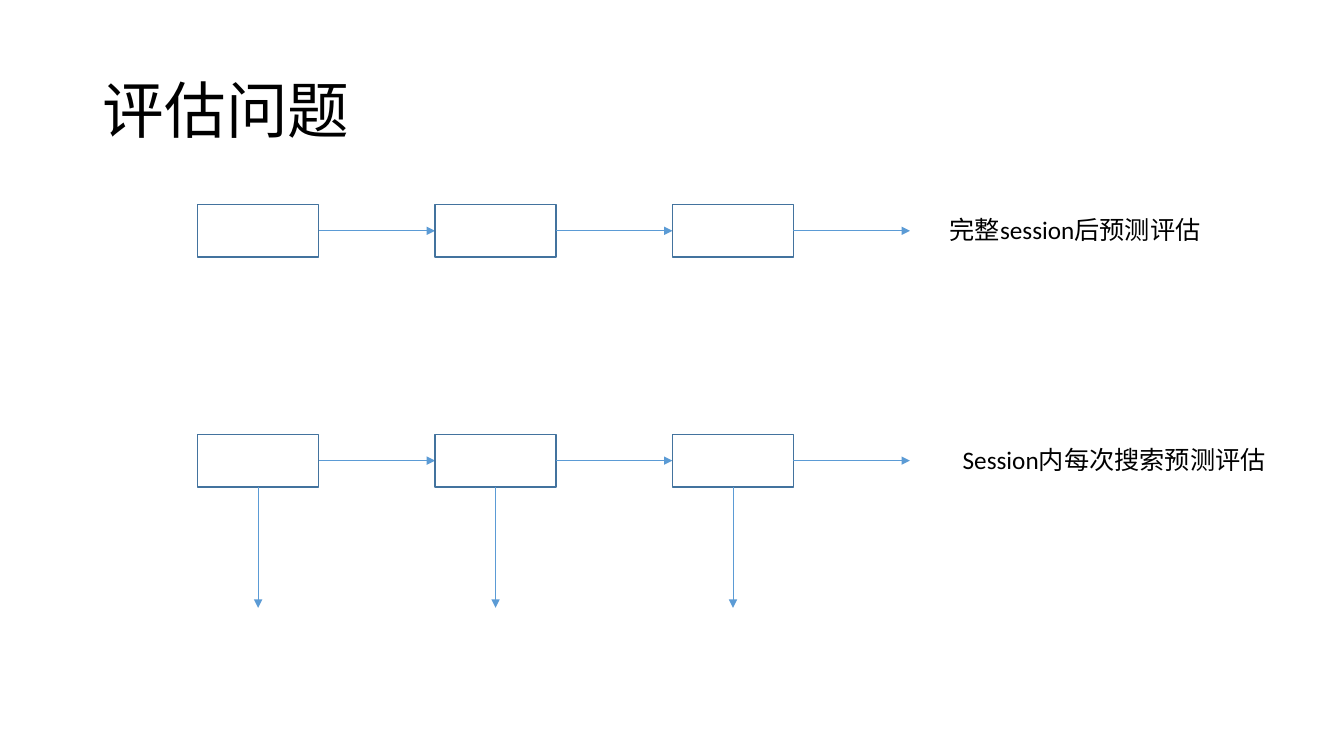
from dataclasses import dataclass

from lxml.etree import SubElement
from pptx import Presentation
from pptx.dml.color import RGBColor
from pptx.enum.shapes import MSO_CONNECTOR as Connector, MSO_SHAPE as Preset
from pptx.enum.text import MSO_ANCHOR as Anchor, MSO_AUTO_SIZE as AutoSize, PP_ALIGN as Align
from pptx.oxml.ns import qn
from pptx.slide import Slide
from pptx.text.text import TextFrame
from pptx.util import Inches, Pt


@dataclass(frozen=True)
class Theme:
    font: str = "Calibri"
    text: RGBColor = RGBColor(0x00, 0x00, 0x00)
    box_line: RGBColor = RGBColor(0x43, 0x73, 0x9E)
    arrow: RGBColor = RGBColor(0x5B, 0x9B, 0xD5)
    title_size: int = 44
    label_size: int = 18
    box_weight: float = 1
    arrow_weight: float = 0.5


@dataclass(frozen=True)
class Grid:
    """Search steps in a session: equal columns, lengths in inches."""
    left: float = 1.96
    pitch: float = 2.355
    columns: int = 3
    box_width: float = 1.2
    box_height: float = 0.52
    drop: float = 1.2

    def column(self, index: int) -> float:
        return self.left + index * self.pitch


@dataclass(frozen=True)
class Session:
    top: float
    label: str
    label_left: float
    label_width: float
    evaluates_each_search: bool


THEME = Theme()
GRID = Grid()
SESSIONS = (
    Session(2.03, "完整session后预测评估", 9.32, 2.71, False),
    Session(4.31, "Session内每次搜索预测评估", 9.45, 3.24, True),
)
LABEL_OFFSET = 0.05
LABEL_HEIGHT = 0.4


def write(frame: TextFrame, text: str, size: int) -> None:
    frame.text = text
    frame.word_wrap = True
    paragraph = frame.paragraphs[0]
    paragraph.alignment = Align.LEFT
    paragraph.font.name = THEME.font
    paragraph.font.size = Pt(size)
    paragraph.font.color.rgb = THEME.text


def add_title(slide: Slide, text: str) -> None:
    title = slide.shapes.title
    title.left, title.top = Inches(0.92), Inches(0.4)
    title.width, title.height = Inches(11.5), Inches(1.45)
    write(title.text_frame, text, THEME.title_size)
    title.text_frame.vertical_anchor = Anchor.MIDDLE
    title.text_frame.paragraphs[0].line_spacing = 0.9


def add_search(slide: Slide, left: float, top: float) -> None:
    search = slide.shapes.add_shape(
        Preset.RECTANGLE, Inches(left), Inches(top),
        Inches(GRID.box_width), Inches(GRID.box_height))
    search.shadow.inherit = False
    search.fill.background()
    search.line.color.rgb = THEME.box_line
    search.line.width = Pt(THEME.box_weight)


def add_arrow(slide: Slide, x: float, y: float, across: float = 0, down: float = 0) -> None:
    arrow = slide.shapes.add_connector(
        Connector.STRAIGHT, Inches(x), Inches(y), Inches(x + across), Inches(y + down))
    arrow.line.color.rgb = THEME.arrow
    arrow.line.width = Pt(THEME.arrow_weight)
    SubElement(arrow.line._get_or_add_ln(), qn("a:tailEnd"), type="triangle")
    SubElement(arrow._element.spPr, qn("a:effectLst"))


def add_label(slide: Slide, session: Session) -> None:
    label = slide.shapes.add_textbox(
        Inches(session.label_left), Inches(session.top + LABEL_OFFSET),
        Inches(session.label_width), Inches(LABEL_HEIGHT))
    write(label.text_frame, session.label, THEME.label_size)
    label.text_frame.auto_size = AutoSize.SHAPE_TO_FIT_TEXT


def add_session(slide: Slide, session: Session) -> None:
    for index in range(GRID.columns):
        left = GRID.column(index)
        add_search(slide, left, session.top)
        # Step to the next search
        add_arrow(slide, left + GRID.box_width, session.top + GRID.box_height / 2,
                  across=GRID.pitch - GRID.box_width)
        # Evaluation after this search
        if session.evaluates_each_search:
            add_arrow(slide, left + GRID.box_width / 2, session.top + GRID.box_height,
                      down=GRID.drop)
    add_label(slide, session)


def main() -> None:
    deck = Presentation()
    deck.slide_width, deck.slide_height = Inches(13.33), Inches(7.5)
    title_only = deck.slide_layouts.get_by_name("Title Only")
    slide = deck.slides.add_slide(title_only)

    add_title(slide, "评估问题")
    for session in SESSIONS:
        add_session(slide, session)
    deck.save("out.pptx")


if __name__ == "__main__":
    main()
